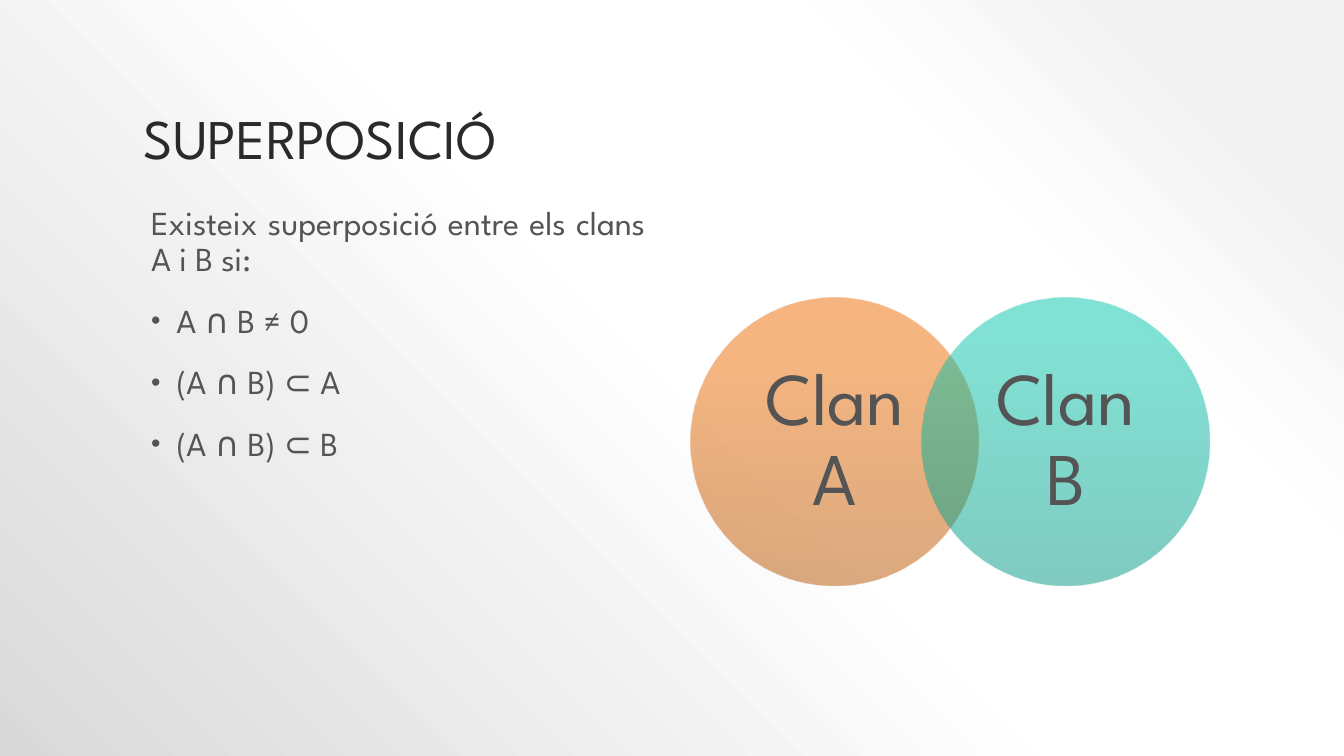
from dataclasses import dataclass

from lxml.etree import SubElement
from pptx import Presentation
from pptx.dml.color import RGBColor
from pptx.enum.shapes import MSO_SHAPE
from pptx.enum.text import MSO_ANCHOR, PP_ALIGN
from pptx.oxml.ns import qn
from pptx.util import Inches, Pt

FONT = "League Spartan"
TITLE_COLOR = "2A2A2A"
BODY_COLOR = "545454"
CLAN_DIAMETER = 2.86
CLAN_TOP = 2.95
LABEL_SIDE = 2.02
LABEL_OFFSET = (CLAN_DIAMETER - LABEL_SIDE) / 2

NO_SPACE = {"space_before": Pt(0), "space_after": Pt(0)}
TITLE_FORMAT = {"alignment": PP_ALIGN.LEFT, "line_spacing": 0.9, **NO_SPACE}
LABEL_FORMAT = {**TITLE_FORMAT, "alignment": PP_ALIGN.CENTER, "space_after": Pt(18.5)}
BODY_FORMAT = {**TITLE_FORMAT, "alignment": PP_ALIGN.JUSTIFY, "space_before": Pt(18)}
LABEL_FRAME = {
    "vertical_anchor": MSO_ANCHOR.MIDDLE,
    "margin_left": Inches(0.16),
    "margin_right": Inches(0.16),
    "margin_top": Inches(0.07),
    "margin_bottom": Inches(0.07),
}


@dataclass(frozen=True)
class Stop:
    position: int
    color: str
    opacity: int = 100


@dataclass(frozen=True)
class Clan:
    name: str
    left: float
    stops: tuple[Stop, ...]


@dataclass(frozen=True)
class Line:
    text: str
    bulleted: bool = True


BACKDROP = (Stop(10, "F2F2F2"), Stop(28, "FFFFFF"), Stop(48, "FFFFFF"), Stop(100, "D9D9D9"))
CLANS = (
    Clan("Clan A", 6.85, (Stop(0, "B85300", 50), Stop(80, "EE6C00", 50), Stop(100, "EF6C00", 50))),
    Clan("Clan B", 9.14, (Stop(0, "029783", 50), Stop(80, "03C4AA", 50), Stop(100, "00C8AD", 50))),
)
CONDITIONS = (
    Line("Existeix superposició entre els clans A i B si:", bulleted=False),
    Line("A ∩ B ≠ 0"),
    Line("(A ∩ B) ⊂ A"),
    Line("(A ∩ B) ⊂ B"),
)


def rgb(color: str) -> RGBColor:
    return RGBColor.from_string(color)


def apply(target, values: dict) -> None:
    for name, value in values.items():
        setattr(target, name, value)


def add_gradient(owner, stops: tuple[Stop, ...]):
    owner.fill.gradient()


def set_gradient(fill, element, stops: tuple[Stop, ...]):
    fill.gradient()
    gradient = next(element.iter(qn("a:gradFill")))
    for child in list(gradient):
        gradient.remove(child)
    stop_list = SubElement(gradient, qn("a:gsLst"))
    for stop in stops:
        entry = SubElement(stop_list, qn("a:gs"), pos=str(stop.position * 1000))
        color = SubElement(entry, qn("a:srgbClr"), val=stop.color)
        if stop.opacity < 100:
            SubElement(color, qn("a:alpha"), val=str(stop.opacity * 1000))
    return gradient


def paint_background(slide) -> None:
    gradient = set_gradient(slide.background.fill, slide.element, BACKDROP)
    circle = SubElement(gradient, qn("a:path"), path="circle")
    SubElement(circle, qn("a:fillToRect"), l="100000", b="100000")


def add_bullet(paragraph) -> None:
    properties = paragraph._p.get_or_add_pPr()
    color = SubElement(properties, qn("a:buClr"))
    SubElement(color, qn("a:srgbClr"), val=BODY_COLOR)
    SubElement(properties, qn("a:buSzPct"), val="80000")
    SubElement(properties, qn("a:buFont"), typeface="Arial")
    SubElement(properties, qn("a:buChar"), char="•")


def write(paragraph, text: str, size: float, color: str, layout: dict) -> None:
    apply(paragraph, layout)
    run = paragraph.add_run()
    run.text = text
    apply(run.font, {"name": FONT, "size": Pt(size)})
    run.font.color.rgb = rgb(color)


def add_frame(shapes, left: float, top: float, width: float, height: float, values: dict):
    box = shapes.add_textbox(Inches(left), Inches(top), Inches(width), Inches(height))
    apply(box.text_frame, {"word_wrap": True, **values})
    return box.text_frame


def add_title(slide) -> None:
    frame = add_frame(slide.shapes, 1.33, 0.3, 10.67, 1.45, {"vertical_anchor": MSO_ANCHOR.BOTTOM})
    write(frame.paragraphs[0], "SUPERPOSICIÓ", 40, TITLE_COLOR, TITLE_FORMAT)


def add_clan(shapes, clan: Clan) -> None:
    diameter = Inches(CLAN_DIAMETER)
    circle = shapes.add_shape(
        MSO_SHAPE.OVAL, Inches(clan.left), Inches(CLAN_TOP), diameter, diameter
    )
    circle.shadow.inherit = False
    circle.line.fill.background()
    gradient = set_gradient(circle.fill, circle.element, clan.stops)
    SubElement(gradient, qn("a:lin"), ang=str(270 * 60000), scaled="0")
    label = add_frame(
        shapes, clan.left + LABEL_OFFSET, CLAN_TOP + LABEL_OFFSET, LABEL_SIDE, LABEL_SIDE, LABEL_FRAME
    )
    write(label.paragraphs[0], clan.name, 53, BODY_COLOR, LABEL_FORMAT)


def add_conditions(slide) -> None:
    frame = add_frame(slide.shapes, 1.35, 2, 5.15, 4.75, {})
    for index, line in enumerate(CONDITIONS):
        paragraph = frame.add_paragraph() if index else frame.paragraphs[0]
        write(paragraph, line.text, 24, BODY_COLOR, BODY_FORMAT)
        margin, indent = (0.3, -0.25) if line.bulleted else (0.05, 0)
        properties = paragraph._p.get_or_add_pPr()
        properties.set("marL", str(Inches(margin)))
        properties.set("indent", str(Inches(indent)))
        if line.bulleted:
            add_bullet(paragraph)


def main() -> None:
    presentation = Presentation()
    apply(presentation, {"slide_width": Inches(13.33), "slide_height": Inches(7.5)})
    slide = presentation.slides.add_slide(presentation.slide_layouts[6])
    paint_background(slide)
    add_title(slide)
    venn = slide.shapes.add_group_shape()
    for clan in CLANS:
        add_clan(venn.shapes, clan)
    add_conditions(slide)
    presentation.save("out.pptx")


if __name__ == "__main__":
    main()
